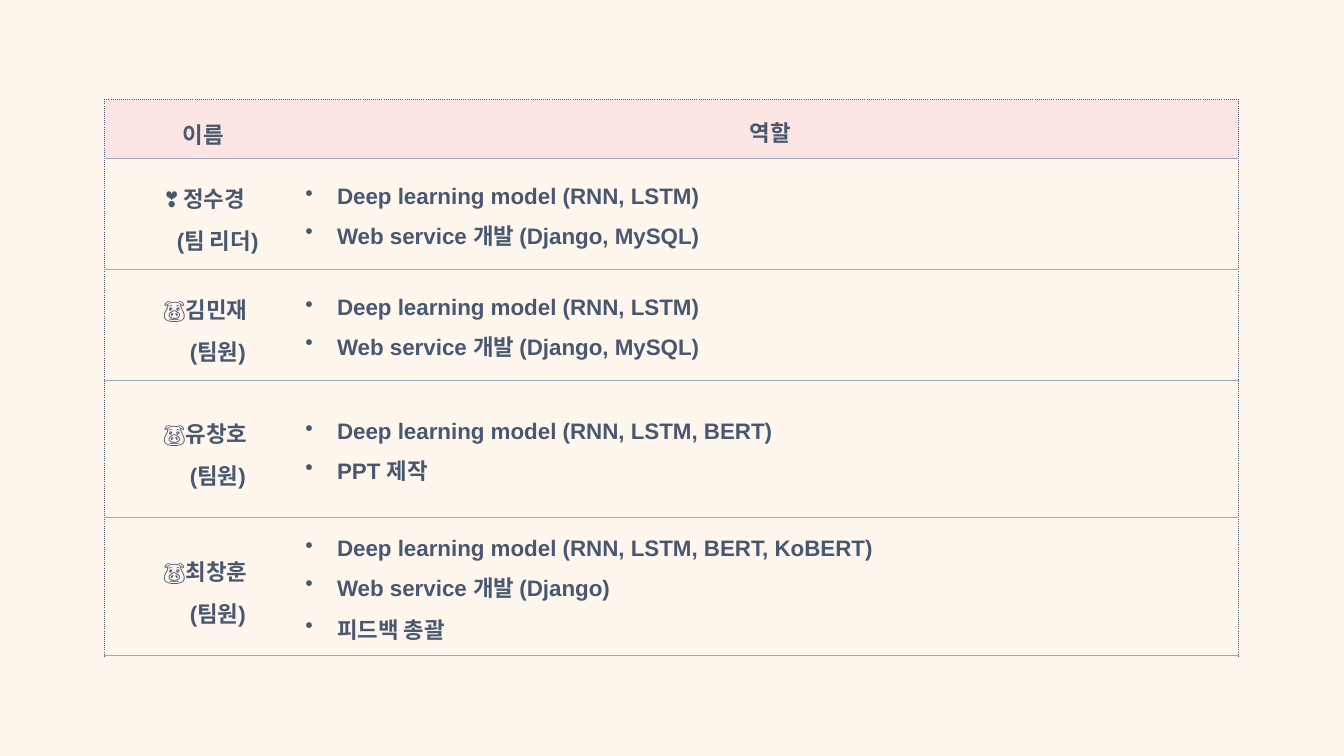
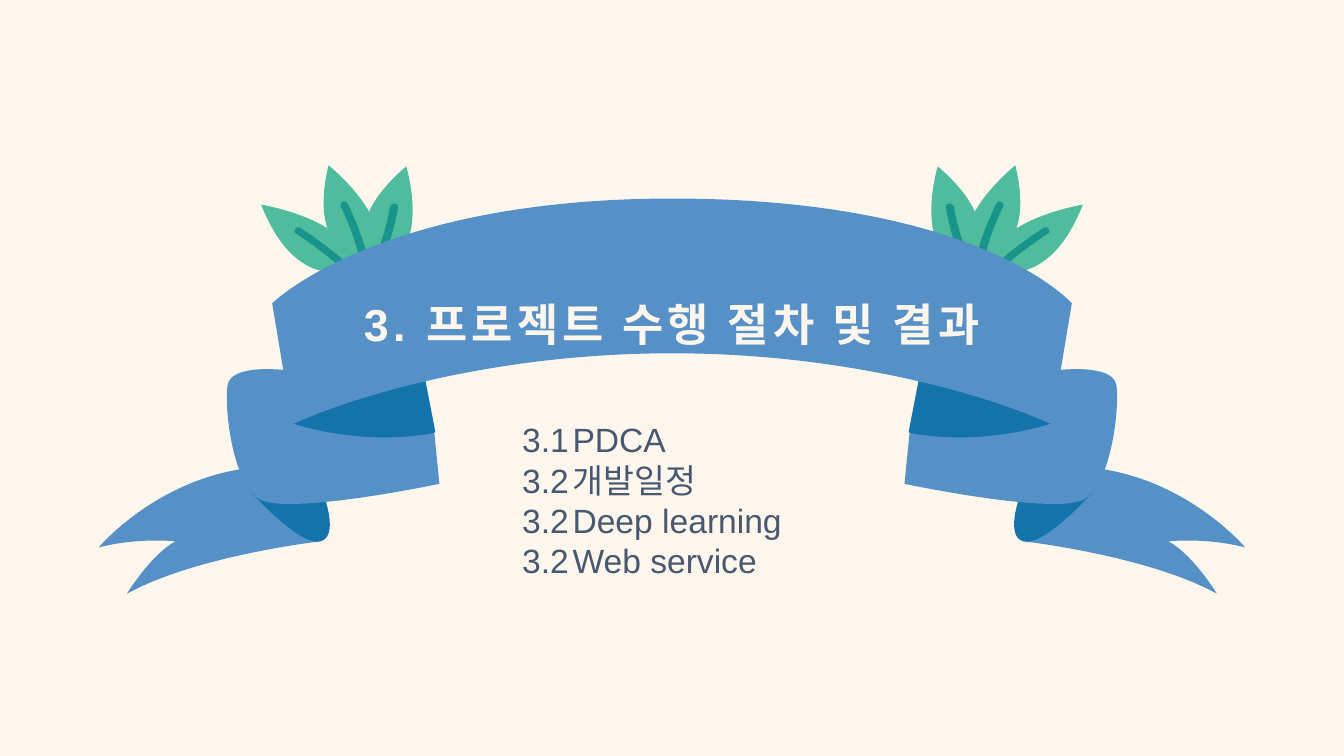
"""Builds the team role table and the ribbon section slide."""
from lxml.etree import SubElement
from pptx import Presentation
from pptx.dml.color import RGBColor
from pptx.enum.text import MSO_ANCHOR as Anchor, MSO_AUTO_SIZE as AutoSize, PP_ALIGN as Align
from pptx.oxml.ns import qn
from pptx.util import Emu, Pt

COLUMNS, ROWS, MODULE = 40, 22.5, 304800
CREAM, INK, RULE, PINK = "FFF7EE", "475870", "9BAAC0", "FCE5E3"
LEAF, VEIN, RIBBON, SHADE = "4FBC9E", "18948B", "5590C6", "1373AA"
BLANK, TITLE_AND_BODY = 6, 1

TEAM = [
    ("❣ ", "정수경", "(팀 리더)",
     ["Deep learning model (RNN, LSTM)", "Web service 개발 (Django, MySQL)"]),
    ("🐷", "김민재", "(팀원)",
     ["Deep learning model (RNN, LSTM)", "Web service 개발 (Django, MySQL)"]),
    ("🐷", "유창호", "(팀원)",
     ["Deep learning model (RNN, LSTM, BERT)", "PPT 제작"]),
    ("🐷", "최창훈", "(팀원)",
     ["Deep learning model (RNN, LSTM, BERT, KoBERT)", "Web service 개발 (Django)",
      "피드백 총괄"]),
]
ROW_HEIGHTS = [1.74, 3.3, 3.3, 4.1, 4.1]

SIDE_PARTS = [
    (LEAF, [(10.23, 8.07), (9.81, 8.16, 8.61, 8.22, 7.77, 6.09),
            (7.77, 6.09, 10.62, 6.57, 10.41, 7.92)]),
    (VEIN, [(10.41, 7.92), (10.26, 8.07),
            (9.9, 7.74, 9.42, 7.35, 8.82, 6.96), (8.76, 6.93, 8.73, 6.87, 8.79, 6.81),
            (8.82, 6.75, 8.88, 6.75, 8.94, 6.78), (9.57, 7.2, 10.08, 7.59, 10.41, 7.92)]),
    (LEAF, [(10.98, 7.71), (10.74, 7.77),
            (10.32, 7.65, 9.24, 7.14, 9.78, 4.92), (9.78, 4.92, 11.94, 6.66, 10.98, 7.71)]),
    (VEIN, [(10.95, 7.71), (10.71, 7.74),
            (10.62, 7.32, 10.44, 6.75, 10.14, 6.15), (10.11, 6.09, 10.14, 6.03, 10.2, 6),
            (10.26, 5.97, 10.32, 6, 10.35, 6.06), (10.65, 6.69, 10.86, 7.26, 10.95, 7.71)]),
    (LEAF, [(11.37, 7.86), (11.13, 7.77),
            (10.86, 7.47, 10.29, 6.51, 12.09, 4.95), (12.09, 4.95, 12.84, 7.44, 11.37, 7.86)]),
    (VEIN, [(11.37, 7.86), (11.13, 7.77),
            (11.31, 7.35, 11.49, 6.81, 11.61, 6.15), (11.64, 6.09, 11.7, 6.03, 11.76, 6.06),
            (11.82, 6.06, 11.88, 6.12, 11.85, 6.18), (11.73, 6.87, 11.52, 7.44, 11.37, 7.86)]),
    (RIBBON, [(9.54, 16.11), (9.54, 16.11, 5.85, 16.53, 3.78, 17.67),
              (3.78, 17.67, 4.47, 16.53, 5.22, 16.11), (5.22, 16.11, 4.14, 15.99, 2.94, 16.29),
              (2.94, 16.29, 4.68, 14.22, 7.5, 13.92), (7.5, 13.92, 9.45, 15.21, 9.54, 16.11)]),
    (SHADE, [(7.47, 14.64), (7.47, 14.64, 8.64, 15.96, 9.33, 16.11),
             (9.99, 16.23, 9.93, 15.33, 9.45, 14.28)]),
    (RIBBON, [(8.43, 11.01), (8.43, 11.01, 6.93, 10.83, 6.78, 11.43),
              (6.66, 12.03, 6.9, 14.34, 7.71, 14.85), (8.52, 15.36, 13.08, 14.4, 13.08, 14.4),
              (12.93, 12.9)]),
    (SHADE, [(8.7, 12.6), (8.7, 12.6, 10.83, 13.32, 12.96, 12.87), (12.6, 11.01),
             (12.6, 11.01, 9.99, 11.28, 8.7, 12.6)]),
]
BAND = [(31.9, 9.03), (31.3, 12.63), (29.97, 12.03, 28.5, 11.61, 27.04, 11.28),
        (22.41, 10.26, 17.59, 10.26, 12.96, 11.28), (11.52, 11.61, 10.02, 12.03, 8.7, 12.63),
        (8.1, 9.03), (8.1, 9.03, 11.22, 5.91, 20, 5.91), (29.19, 5.91, 31.9, 9.03, 31.9, 9.03)]


def rgb(value):
    return RGBColor.from_string(value)


def grid(count):
    return Emu(round(count * MODULE))


class Deck:
    font = "Arial"

    def __init__(self):
        self.show = Presentation()
        self.show.slide_width, self.show.slide_height = grid(COLUMNS), grid(ROWS)
        self.slide = None

    def add_slide(self, layout):
        self.slide = self.show.slides.add_slide(self.show.slide_layouts[layout])
        background = self.slide.background.fill
        background.solid()
        background.fore_color.rgb = rgb(CREAM)

    def style(self, paragraph, size, color=INK, bold=None, align=Align.LEFT, spacing=None):
        paragraph.alignment = align
        paragraph.line_spacing = spacing
        paragraph.space_before = Pt(0)
        font = paragraph.font
        font.name, font.size, font.bold = self.font, Pt(size), bold
        font.color.rgb = rgb(color)

    def indent(self, paragraph, left, first=0, bullet=None, tab=None):
        properties = paragraph._p.get_or_add_pPr()
        properties.set("marL", str(grid(left)))
        properties.set("indent", str(grid(first)))
        if bullet:
            SubElement(properties, qn("a:buChar"), char=bullet)
        else:
            SubElement(properties, qn("a:buNone"))
        if tab:
            stops = SubElement(properties, qn("a:tabLst"))
            SubElement(stops, qn("a:tab"), pos=str(grid(tab)), algn="l")

    def outline(self, color, steps, mirrored=False):
        def place(x, y):
            return grid(COLUMNS - x if mirrored else x), grid(y)

        builder = self.slide.shapes.build_freeform(*place(*steps[0]), scale=1.0)
        builder.add_line_segments([place(*step[-2:]) for step in steps[1:]], close=True)
        shape = builder.convert_to_shape()
        segments = list(shape._element.iter(qn("a:lnTo")))
        for segment, step in zip(segments, steps[1:]):
            if len(step) == 6:
                segment.tag = qn("a:cubicBezTo")
                segment.clear()
                for x, y in map(place, step[::2], step[1::2]):
                    SubElement(segment, qn("a:pt"), x=str(x - shape.left), y=str(y - shape.top))
        shape.shadow.inherit = False
        shape.fill.solid()
        shape.fill.fore_color.rgb = rgb(color)
        shape.line.fill.background()

    def place(self, index, left, top, width, height):
        holder = self.slide.placeholders[index]
        holder.left, holder.top = grid(left), grid(top)
        holder.width, holder.height = grid(width), grid(height)
        holder._element.getparent().append(holder._element)
        frame = holder.text_frame
        frame.word_wrap, frame.auto_size = True, AutoSize.NONE
        frame.vertical_anchor = Anchor.TOP
        return frame

    def title(self, text, *box):
        heading = self.place(0, *box).paragraphs[0]
        heading.add_run().text = text
        heading.runs[0]._r.get_or_add_rPr().set("spc", "300")
        self.style(heading, 32, CREAM, True, Align.CENTER)

    def numbered_list(self, entries, *box):
        frame = self.place(1, *box)
        frame.text = "\n".join(f"{number}\t{topic}" for number, topic in entries)
        for paragraph in frame.paragraphs:
            self.indent(paragraph, 0, tab=1.95)
            self.style(paragraph, 24)

    def table(self, left, top, widths, heights):
        table = self.slide.shapes.add_table(
            len(heights), len(widths), grid(left), grid(top),
            grid(sum(widths)), grid(sum(heights))).table
        table.first_row = table.horz_banding = False
        for column, width in zip(table.columns, widths):
            column.width = grid(width)
        for row, height in zip(table.rows, heights):
            row.height = grid(height)
        return table

    def cell(self, cell, inset=0, fill=None):
        cell.vertical_anchor = Anchor.MIDDLE
        cell.margin_left = grid(inset)
        cell.margin_right = cell.margin_top = cell.margin_bottom = 0
        if fill:
            cell.fill.solid()
            cell.fill.fore_color.rgb = rgb(fill)
        else:
            cell.fill.background()
        return cell.text_frame

    def borders(self, cell, **edges):
        properties = cell._tc.get_or_add_tcPr()
        for position, side in enumerate("LRTB"):
            edge = edges.get(side)
            line = SubElement(properties, qn(f"a:ln{side}"))
            properties.insert(position, line)
            if not edge:
                SubElement(line, qn("a:noFill"))
                continue
            color, width, dash = edge
            line.set("w", str(Pt(width)))
            SubElement(SubElement(line, qn("a:solidFill")), qn("a:srgbClr"), val=color)
            SubElement(line, qn("a:prstDash"), val=dash)

    def header(self, cell, text, spacing):
        frame = self.cell(cell, fill=PINK)
        frame.text = text
        self.style(frame.paragraphs[0], 16, bold=True, align=Align.CENTER, spacing=spacing)

    def member(self, cell, mark, name, position):
        frame = self.cell(cell, 0.12)
        person, post = frame.paragraphs[0], frame.add_paragraph()
        for text, bold in ((mark, False), (name, True)):
            run = person.add_run()
            run.text, run.font.bold = text, bold
        post.text = position
        self.indent(post, 0.75)
        for paragraph, bold in ((person, None), (post, True)):
            self.style(paragraph, 16, bold=bold, align=Align.CENTER, spacing=1.3)

    def duties(self, cell, entries):
        frame = self.cell(cell, 0.12)
        frame.text = "\n".join(entries)
        for paragraph in frame.paragraphs:
            self.indent(paragraph, 0.94, -0.94, bullet="•")
            self.style(paragraph, 16, bold=True, spacing=1.3)


def team_slide(deck):
    deck.add_slide(BLANK)
    roles = deck.table(3.12, 2.97, [5.85, 27.9], ROW_HEIGHTS)
    deck.header(roles.cell(0, 0), "이름", 1.3)
    deck.header(roles.cell(0, 1), "역할", 1.2)
    for row, (mark, name, position, tasks) in enumerate(TEAM, 1):
        deck.member(roles.cell(row, 0), mark, name, position)
        deck.duties(roles.cell(row, 1), tasks)
    dotted, thin = (INK, 1, "sysDot"), (RULE, 0.5, "solid")
    for row in range(len(ROW_HEIGHTS)):
        for column, outer in enumerate("LR"):
            deck.borders(roles.cell(row, column),
                         **{outer: dotted, "T": thin if row else dotted, "B": thin})


def section_slide(deck):
    deck.add_slide(TITLE_AND_BODY)
    for mirrored in (False, True):
        for color, steps in SIDE_PARTS:
            deck.outline(color, steps, mirrored)
    deck.outline(RIBBON, BAND)
    deck.title("3. 프로젝트 수행 절차 및 결과", 7.65, 8.67, 24.7, 5.04)
    deck.numbered_list([("3.1", "PDCA"), ("3.2", "개발일정"),
                        ("3.2", "Deep learning"), ("3.2", "Web service")],
                       15.24, 12.33, 12.66, 5.16)


def main():
    deck = Deck()
    team_slide(deck)
    section_slide(deck)
    deck.show.save("out.pptx")


if __name__ == "__main__":
    main()
